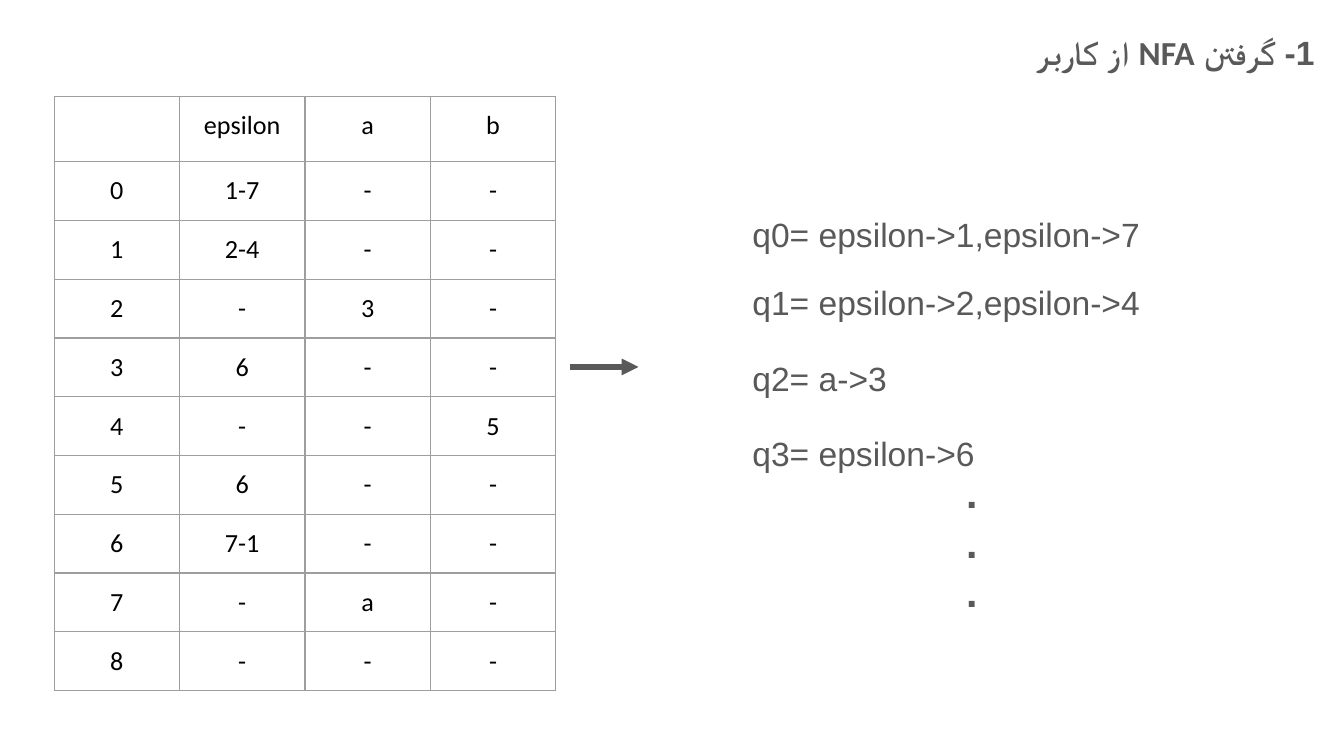
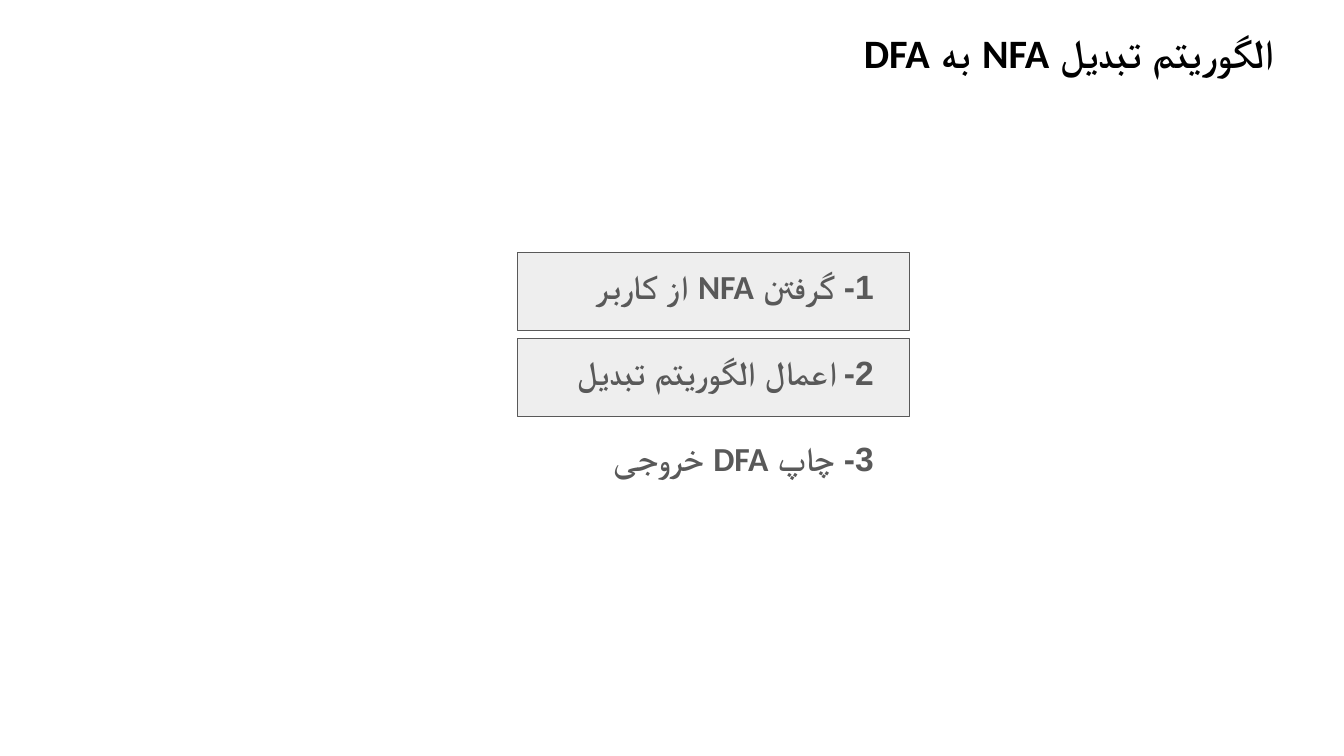
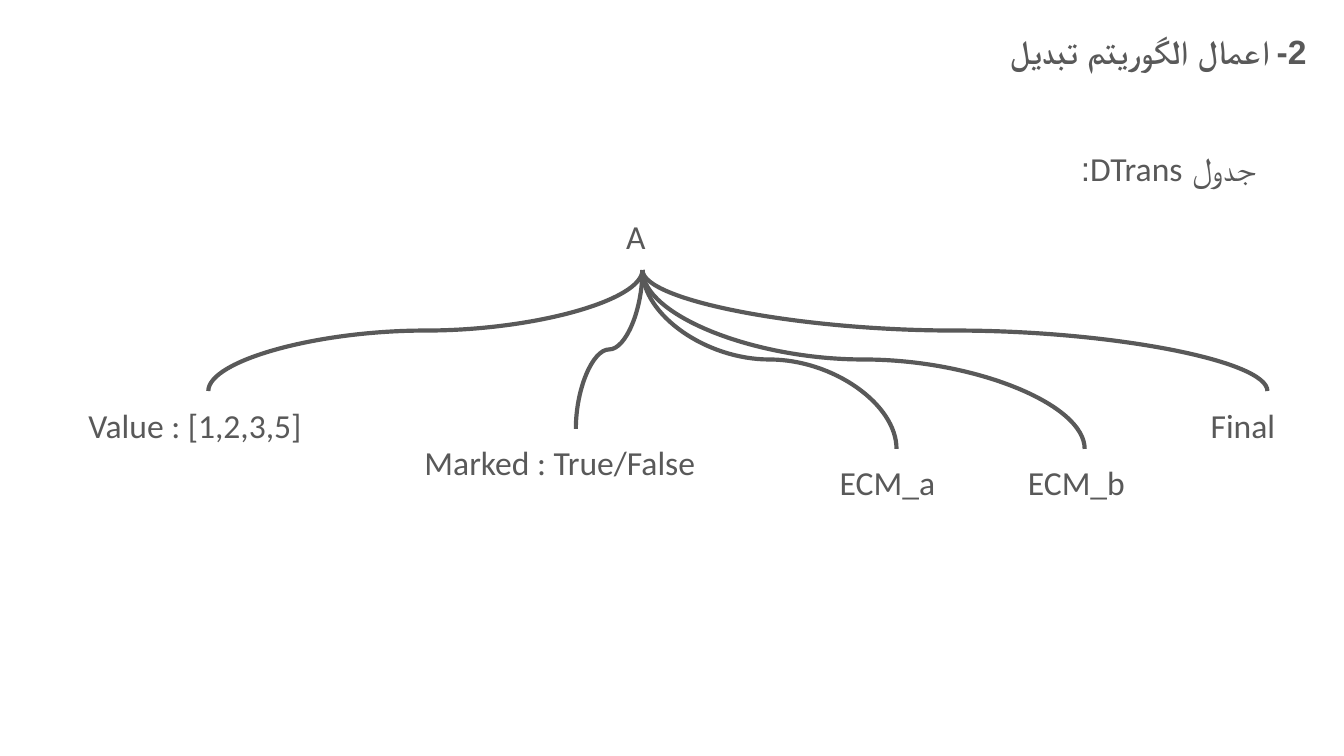
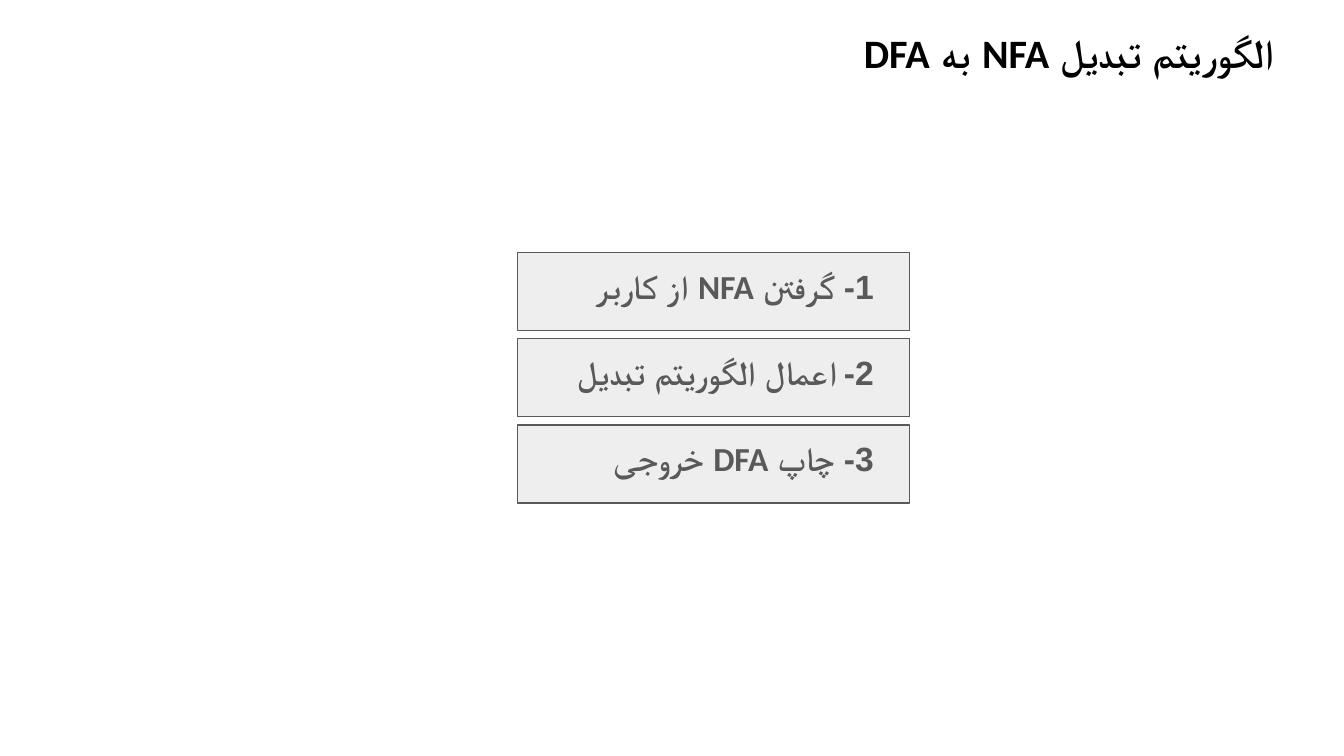
from dataclasses import dataclass

from lxml import etree
from pptx import Presentation
from pptx.dml.color import RGBColor
from pptx.enum.shapes import MSO_CONNECTOR, MSO_SHAPE
from pptx.enum.text import MSO_ANCHOR, PP_ALIGN
from pptx.oxml.ns import qn
from pptx.util import Pt

# Shared style
GRAY = RGBColor(0x59, 0x59, 0x59)
BLACK = RGBColor(0x00, 0x00, 0x00)
PANEL = RGBColor(0xEE, 0xEE, 0xEE)
GRID = RGBColor(0x9E, 0x9E, 0x9E)
CALIBRI, ARIAL = "Calibri", "Arial"
LEFT, CENTER, RIGHT = PP_ALIGN.LEFT, PP_ALIGN.CENTER, PP_ALIGN.RIGHT
TOP, MIDDLE, BOTTOM = MSO_ANCHOR.TOP, MSO_ANCHOR.MIDDLE, MSO_ANCHOR.BOTTOM
STRAIGHT, CURVE = MSO_CONNECTOR.STRAIGHT, MSO_CONNECTOR.CURVE
RECT = MSO_SHAPE.RECTANGLE
INSET = Pt(7.2)
LABEL_H = 36

# Wording
TITLE = "الگوریتم تبدیل NFA به DFA"
STEPS = ["1- گرفتن NFA از کاربر", "2- اعمال الگوریتم تبدیل", "3- چاپ DFA خروجی"]
NFA_ROWS = [
    ["", "epsilon", "a", "b"],
    ["0", "1-7", "-", "-"],
    ["1", "2-4", "-", "-"],
    ["2", "-", "3", "-"],
    ["3", "6", "-", "-"],
    ["4", "-", "-", "5"],
    ["5", "6", "-", "-"],
    ["6", "7-1", "-", "-"],
    ["7", "-", "a", "-"],
    ["8", "-", "-", "-"],
]


@dataclass(frozen=True)
class Style:
    size: float = 18
    font: str = CALIBRI
    color: RGBColor = GRAY
    bold: bool = False
    align: PP_ALIGN = LEFT
    rtl: bool = False
    anchor: MSO_ANCHOR = TOP


@dataclass(frozen=True)
class Label:
    text: str
    left: float
    top: float
    width: float
    height: float = LABEL_H

    @property
    def center(self) -> float:
        return self.left + self.width / 2


LABEL = Style()
STEP = Style(bold=True, align=RIGHT, rtl=True)
HEADING = Style(21.6, color=BLACK, bold=True, align=CENTER, rtl=True, anchor=BOTTOM)
NOTE = Style(align=RIGHT, rtl=True)
RULE = Style(font=ARIAL)
DOTS = Style(22, ARIAL, bold=True)
CELL = Style(14, color=BLACK, align=CENTER)

ROOT = Label("A", 328.3, 108.7, 31.7)
BRANCHES = [
    Label("Value : [1,2,3,5]", 40.3, 209.5, 142.6),
    Label("Marked : True/False", 220.3, 229.7, 176.4),
    Label("ECM_a", 442.8, 240.5, 74.9),
    Label("ECM_b", 543.6, 240.5, 74.9),
    Label("Final", 641.5, 209.5, 74.9),
]


def style_text(tf, style: Style) -> None:
    for p in tf.paragraphs:
        p.alignment = style.align
        if style.rtl:
            p._p.get_or_add_pPr().set("rtl", "1")
        for r in p.runs:
            r.font.size = Pt(style.size)
            r.font.name = style.font
            r.font.bold = style.bold
            r.font.color.rgb = style.color
            if style.rtl:
                cs = etree.SubElement(r._r.get_or_add_rPr(), qn("a:cs"))
                cs.set("typeface", ARIAL)


def add_label(s, label: Label, style: Style = LABEL) -> None:
    sp = s.shapes.add_textbox(
        Pt(label.left), Pt(label.top), Pt(label.width), Pt(label.height))
    tf = sp.text_frame
    tf.word_wrap = True
    tf.vertical_anchor = style.anchor
    tf.margin_left = tf.margin_right = tf.margin_top = tf.margin_bottom = INSET
    tf.text = label.text
    style_text(tf, style)


def add_line(s, kind: MSO_CONNECTOR, x1: float, y1: float, x2: float, y2: float,
             width: float):
    c = s.shapes.add_connector(kind, Pt(x1), Pt(y1), Pt(x2), Pt(y2))
    c.line.color.rgb = GRAY
    c.line.width = Pt(width)
    etree.SubElement(c._element.spPr, qn("a:effectLst"))
    return c


def add_branch(s, x1: float, y1: float, x2: float, y2: float) -> None:
    """Curve that leaves and arrives vertically: a connector turned a quarter."""
    drop, reach = y2 - y1, abs(x2 - x1)
    left = (x1 + x2 - drop) / 2
    top = (y1 + y2 - reach) / 2
    ends, turn = (left, left + drop), 90
    if x2 > x1:
        ends, turn = (left + drop, left), 270
    c = add_line(s, CURVE, ends[0], top, ends[1], top + reach, 2.25)
    c._element.spPr.xfrm.set("rot", str(turn * 60000))


def add_borders(cell) -> None:
    tc_pr = cell._tc.get_or_add_tcPr()
    for i, side in enumerate(("a:lnL", "a:lnR", "a:lnT", "a:lnB")):
        ln = etree.Element(qn(side), w=str(Pt(0.75)))
        fill = etree.SubElement(ln, qn("a:solidFill"))
        etree.SubElement(fill, qn("a:srgbClr"), val=str(GRID))
        tc_pr.insert(i, ln)


def add_nfa_table(s) -> None:
    col_w, head_h, row_h = 67.2, 34.8, 31.5
    n_rows, n_cols = len(NFA_ROWS), len(NFA_ROWS[0])
    table = s.shapes.add_table(
        n_rows, n_cols, Pt(29), Pt(51.8), Pt(col_w * n_cols),
        Pt(head_h + row_h * (n_rows - 1))).table
    table.first_row = table.horz_banding = False
    for col in table.columns:
        col.width = Pt(col_w)
    for i, values in enumerate(NFA_ROWS):
        table.rows[i].height = Pt(row_h if i else head_h)
        for j, value in enumerate(values):
            cell = table.cell(i, j)
            cell.fill.background()
            add_borders(cell)
            cell.vertical_anchor = TOP
            cell.margin_left = cell.margin_right = INSET
            cell.margin_top = cell.margin_bottom = INSET
            if value:
                cell.text = value
                style_text(cell.text_frame, CELL)
            else:
                end = cell.text_frame.paragraphs[0]._p.get_or_add_endParaRPr()
                end.set("sz", str(CELL.size * 100))


def add_step(s, number: int, left: float, top: float) -> None:
    add_label(s, Label(STEPS[number], left, top, 231.1, 41.8), STEP)


def new_slide(prs):
    return prs.slides.add_slide(prs.slide_layouts[6])


def build_input(prs) -> None:
    s = new_slide(prs)
    add_step(s, 0, 480.2, 10.1)
    add_nfa_table(s)
    # Arrow from the table to the rules
    arrow = add_line(s, STRAIGHT, 305.3, 196.6, 342, 196.6, 3)
    etree.SubElement(arrow.line._get_or_add_ln(), qn("a:tailEnd"), type="triangle")
    rules = {
        107.3: "q0= epsilon->1,epsilon->7",
        144: "q1= epsilon->2,epsilon->4",
        184.3: "q2= a->3",
        224.6: "q3= epsilon->6",
    }
    for top, text in rules.items():
        add_label(s, Label(text, 396, top, 326.2), RULE)
    add_label(s, Label(".\n.\n.", 510.5, 243.4, 26.6, 94.3), DOTS)


def build_agenda(prs, done: int) -> None:
    """Three steps; the first `done` of them stand on a panel."""
    s = new_slide(prs)
    add_label(s, Label(TITLE, 431.3, 13, 283, 35.3), HEADING)
    for i in range(len(STEPS)):
        top = 135.4 + 46.1 * i
        if i < done:
            sp = s.shapes.add_shape(RECT, Pt(277.2), Pt(top), Pt(210.2), Pt(41.8))
            sp.shadow.inherit = False
            sp.fill.solid()
            sp.fill.fore_color.rgb = PANEL
            sp.line.color.rgb = GRAY
            sp.line.width = Pt(0.75)
        add_step(s, i, 244.1, top)


def build_dtrans(prs) -> None:
    s = new_slide(prs)
    add_step(s, 1, 475.9, 9.4)
    add_label(s, Label("جدول DTrans:", 40.3, 72, 639.4), NOTE)
    # Tree of one table entry
    add_label(s, ROOT)
    for branch in BRANCHES:
        add_label(s, branch)
        add_branch(s, ROOT.center, ROOT.top + ROOT.height, branch.center, branch.top)


def main() -> None:
    prs = Presentation()
    prs.slide_width, prs.slide_height = Pt(720), Pt(405)
    build_input(prs)
    build_agenda(prs, done=2)
    build_dtrans(prs)
    build_agenda(prs, done=3)
    prs.save("out.pptx")


if __name__ == "__main__":
    main()
